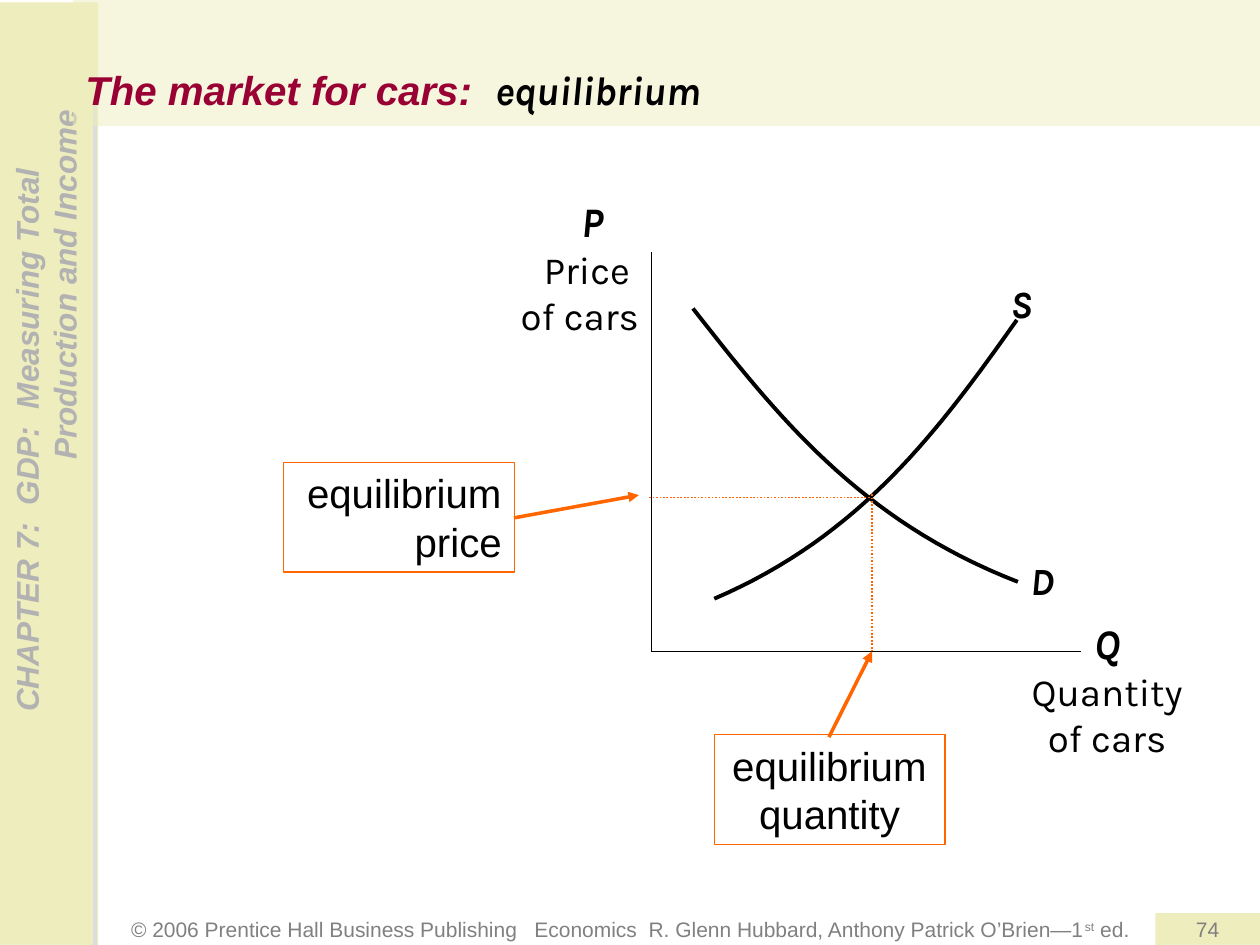
from dataclasses import dataclass

from lxml import etree
from pptx import Presentation
from pptx.dml.color import RGBColor
from pptx.enum.dml import MSO_LINE
from pptx.enum.shapes import MSO_CONNECTOR, MSO_SHAPE
from pptx.enum.text import MSO_ANCHOR, PP_ALIGN
from pptx.oxml.ns import qn
from pptx.util import Cm, Pt

LEFT, CENTER, RIGHT = PP_ALIGN.LEFT, PP_ALIGN.CENTER, PP_ALIGN.RIGHT
TOP, MIDDLE, BOTTOM = MSO_ANCHOR.TOP, MSO_ANCHOR.MIDDLE, MSO_ANCHOR.BOTTOM
RECTANGLE = MSO_SHAPE.RECTANGLE
STRAIGHT = MSO_CONNECTOR.STRAIGHT
DOTTED = MSO_LINE.ROUND_DOT


@dataclass(frozen=True)
class Theme:
    band: str = "EEEDBD"
    edge: str = "DDDDDD"
    chapter: str = "B2B2B2"
    title: str = "990033"
    muted: str = "808080"
    ink: str = "000000"
    paper: str = "FFFFFF"
    accent: str = "FF6600"
    sans: str = "Arial"
    label: str = "Karla"
    small: float = 12
    side: float = 18
    body: float = 22
    heading: float = 23
    axis: float = 24


THEME = Theme()


def rgb(color):
    return RGBColor.from_string(color)


def write(tf, text, size=THEME.body, color=THEME.ink, font=THEME.label, bold=False,
          italic=False, align=LEFT, inline=False, raised=False, before=0, after=0):
    p = tf.paragraphs[-1]
    if p.runs and not inline:
        p = tf.add_paragraph()
    p.alignment = align
    pPr = p._p.get_or_add_pPr()
    pPr.set("marL", str(Cm(before)))
    pPr.set("marR", str(Cm(after)))
    r = p.add_run()
    r.text = text
    r.font.size = Pt(size)
    r.font.name = font
    r.font.bold = bold
    r.font.italic = italic
    r.font.color.rgb = rgb(color)
    if raised:
        r._r.get_or_add_rPr().set("baseline", "30000")


def set_frame(tf, anchor=TOP, insets=(0.25, 0.13, 0.25, 0.13)):
    tf.word_wrap = True
    tf.vertical_anchor = anchor
    tf.margin_left, tf.margin_top, tf.margin_right, tf.margin_bottom = map(Cm, insets)
    return tf


def add_text(slide, box, anchor=TOP):
    sp = slide.shapes.add_textbox(*map(Cm, box))
    return set_frame(sp.text_frame, anchor)


def add_panel(slide, box, fill, line=None, alpha=None, **frame):
    sp = slide.shapes.add_shape(RECTANGLE, *map(Cm, box))
    sp.shadow.inherit = False
    sp.fill.solid()
    sp.fill.fore_color.rgb = rgb(fill)
    if alpha:
        color = sp._element.spPr.find(qn("a:solidFill"))[0]
        etree.SubElement(color, qn("a:alpha"), val=str(alpha * 1000))
    if line:
        sp.line.color.rgb = rgb(line)
        sp.line.width = Pt(0.75)
    else:
        sp.line.fill.background()
    return set_frame(sp.text_frame, **frame)


def add_line(slide, start, end, color, width, dash=None, arrow=False):
    cxn = slide.shapes.add_connector(STRAIGHT, *map(Cm, (*start, *end)))
    cxn.line.color.rgb = rgb(color)
    cxn.line.width = Pt(width)
    if dash:
        cxn.line.dash_style = dash
    if arrow:
        etree.SubElement(cxn.line._get_or_add_ln(), qn("a:tailEnd"), type="triangle")
    etree.SubElement(cxn._element.spPr, qn("a:effectLst"))


def bezier(points, steps=32):
    for i in range(steps + 1):
        t = i / steps
        u = 1 - t
        weights = (u**3, 3 * u * u * t, 3 * u * t * t, t**3)
        yield tuple(Cm(sum(w * pt[axis] for w, pt in zip(weights, points)))
                    for axis in (0, 1))


def add_curve(slide, points, name, label_box):
    start, *rest = bezier(points)
    builder = slide.shapes.build_freeform(*start)
    builder.add_line_segments(rest, close=False)
    sp = builder.convert_to_shape()
    sp.shadow.inherit = False
    sp.fill.background()
    sp.line.color.rgb = rgb(THEME.ink)
    sp.line.width = Pt(2.25)
    write(add_text(slide, label_box), name, bold=True, italic=True)


def add_callout(slide, box, lines, align):
    tf = add_panel(slide, box, THEME.paper, line=THEME.accent)
    for text in lines:
        write(tf, text, size=THEME.heading, font=THEME.sans, align=align)


def add_page_frame(slide):
    muted = dict(size=THEME.small, color=THEME.muted, font=THEME.sans, align=CENTER)
    tf = add_text(slide, (0.64, 18.41, 24.13, 0.64), MIDDLE)
    write(tf, "© 2006 Prentice Hall Business Publishing   Economics  "
          "R. Glenn Hubbard, Anthony Patrick O’Brien—1", **muted)
    write(tf, "st", inline=True, raised=True, **muted)
    write(tf, " ed.", inline=True, **muted)

    tf = add_panel(slide, (-0.05, 0.05, 2.03, 19.05), THEME.band, insets=(0.2,) * 4)
    tf._txBody.bodyPr.set("vert", "vert270")
    for text, before in (("CHAPTER 7:  GDP:  Measuring Total", 4.55),
                         ("Production and Income", 9.63)):
        write(tf, text, size=THEME.side, color=THEME.chapter, font=THEME.sans,
              bold=True, italic=True, before=before)
    add_line(slide, (1.91, 2.11), (1.91, 19.05), THEME.edge, 2)

    tf = add_panel(slide, (1.47, 0, 23.93, 2.54), THEME.band, alpha=50,
                   anchor=BOTTOM, insets=(0.25, 0.13, 0.25, 0.25))
    heading = dict(size=THEME.heading, bold=True, italic=True)
    write(tf, "The market for cars:  ", color=THEME.title, font=THEME.sans, **heading)
    write(tf, "equilibrium", inline=True, **heading)

    tf = add_panel(slide, (23.29, 18.41, 2.11, 0.64), THEME.band, anchor=MIDDLE)
    write(tf, "74", **muted)


def add_axes(slide):
    origin = (13.13, 13.13)
    for end in ((13.13, 5.08), (21.79, 13.13)):
        add_line(slide, origin, end, THEME.ink, 0.75)
    symbol = dict(size=THEME.axis, bold=True, italic=True)

    tf = add_text(slide, (20.52, 12.32, 3.6, 3.15))
    write(tf, "Q", align=CENTER, **symbol)
    for text in ("Quantity", "of cars"):
        write(tf, text, align=CENTER)

    tf = add_text(slide, (9.96, 3.81, 3.17, 3.15))
    write(tf, "P", align=RIGHT, after=0.72, **symbol)
    write(tf, "Price", align=RIGHT, after=0.18)
    write(tf, "of cars", align=RIGHT)


def add_equilibrium(slide):
    add_callout(slide, (5.72, 9.32, 4.65, 2.21), ("equilibrium", "price"), RIGHT)
    add_line(slide, (17.53, 10.03), (13.08, 10.03), THEME.accent, 1, dash=DOTTED)
    add_line(slide, (10.36, 10.44), (12.88, 9.98), THEME.accent, 2, arrow=True)
    add_callout(slide, (14.4, 14.81, 4.65, 2.21), ("equilibrium", "quantity"), CENTER)
    add_line(slide, (17.58, 9.96), (17.58, 13.13), THEME.accent, 1, dash=DOTTED)
    add_line(slide, (16.71, 14.86), (17.58, 13.13), THEME.accent, 2, arrow=True)


def main():
    prs = Presentation()
    prs.slide_width, prs.slide_height = Cm(25.4), Cm(19.05)
    slide = prs.slides.add_slide(prs.slide_layouts[6])
    add_page_frame(slide)
    add_axes(slide)
    add_curve(slide, ((20.5, 6.45), (18.95, 8.64), (17.37, 10.8), (14.4, 12.07)),
              "S", (20.12, 5.51, 1.24, 1.19))
    add_curve(slide, ((13.97, 6.22), (15.65, 8.36), (17.32, 10.49), (20.52, 11.73)),
              "D", (20.52, 11.1, 1.27, 1.19))
    add_equilibrium(slide)
    prs.save("out.pptx")


if __name__ == "__main__":
    main()
